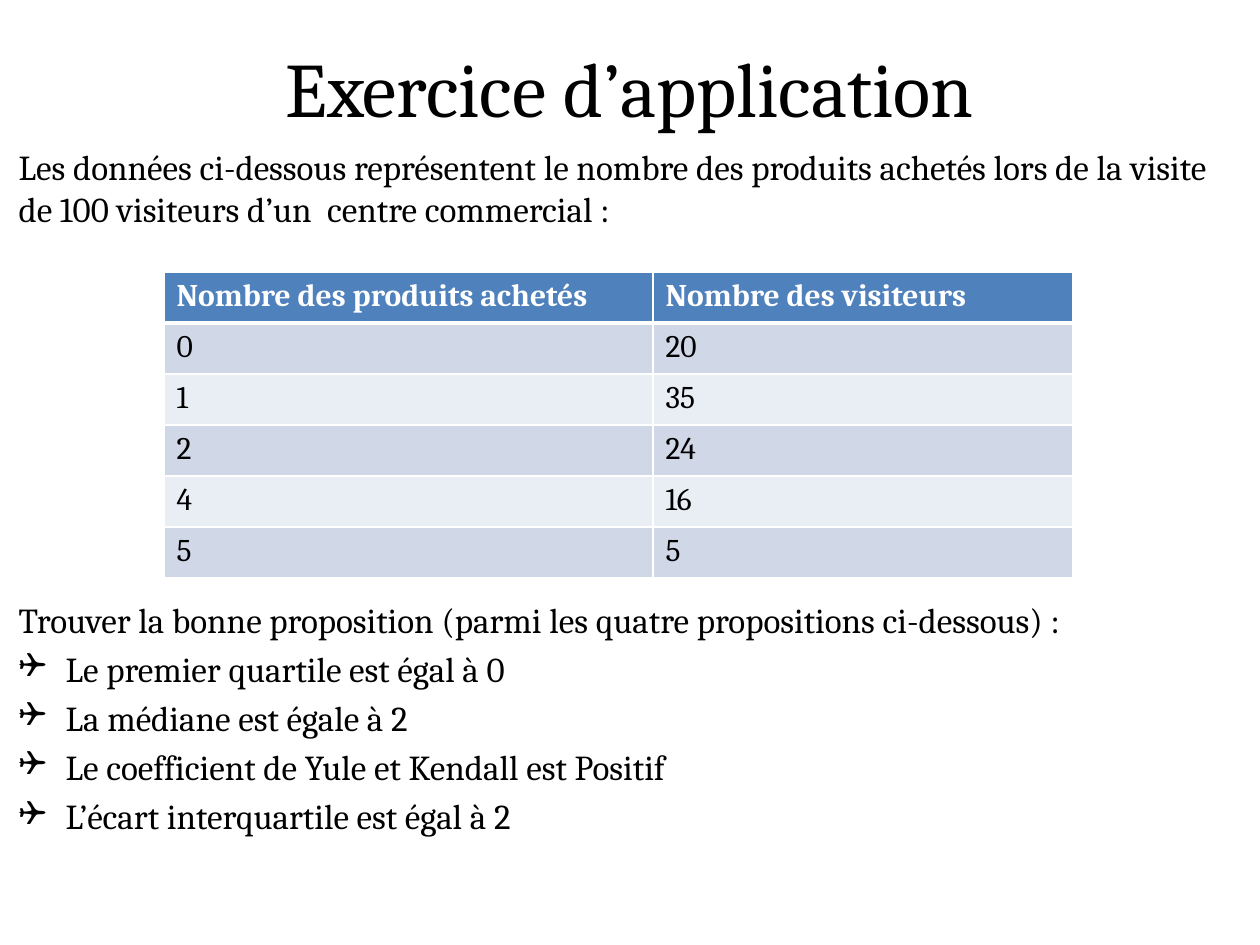
from dataclasses import dataclass

import lxml.etree
import pptx
import pptx.dml.color
import pptx.enum.text
import pptx.oxml.ns
import pptx.util

EMU_PER_PX = 914400 / 126


@dataclass(frozen=True)
class Theme:
    font: str = "Cambria"
    ink: str = "000000"
    white: str = "FFFFFF"
    header: str = "4F81BD"
    bands: tuple[str, str] = ("D0D8E8", "E9EDF4")
    title_size: int = 44
    body_size: int = 20
    table_size: int = 18


@dataclass(frozen=True)
class Box:
    left: int
    top: int
    width: int
    height: int


@dataclass(frozen=True)
class Line:
    text: str
    before: int = 4
    bullet: str = ""


THEME = Theme()
TITLE_BOX = Box(63, 8, 1134, 158)
BODY_BOX = Box(6, 139, 1251, 798)
TABLE_BOX = Box(164, 272, 909, 306)
COLUMN_WIDTHS = (489, 420)
BULLET_INDENT = 47
TABLE_GAP = 211

LINES = (
    Line("Les données ci-dessous représentent le nombre des produits achetés "
         "lors de la visite de 100 visiteurs d’un  centre commercial :", before=0),
    Line("Trouver la bonne proposition (parmi les quatre propositions ci-dessous) :",
         before=TABLE_GAP),
    Line("Le premier quartile est égal à 0", bullet="❑"),
    Line("La médiane est égale à 2", bullet="❑"),
    Line("Le coefficient de Yule et Kendall est Positif", bullet="❑"),
    Line("L’écart interquartile est égal à 2", bullet="❑"),
)
VISITS = (
    ("Nombre des produits achetés", "Nombre des visiteurs"),
    ("0", "20"),
    ("1", "35"),
    ("2", "24"),
    ("4", "16"),
    ("5", "5"),
)


def px(length: int) -> int:
    return round(length * EMU_PER_PX)


def rgb(value: str):
    return pptx.dml.color.RGBColor.from_string(value)


def add_child(parent, tag: str, **attributes: str):
    return lxml.etree.SubElement(parent, pptx.oxml.ns.qn(tag), attributes)


def write(paragraph, text: str, *, size: int, color: str = THEME.ink,
          bold: bool = False, align=pptx.enum.text.PP_ALIGN.LEFT,
          before: int = 0) -> None:
    paragraph.alignment = align
    paragraph.space_before = pptx.util.Pt(before)
    run = paragraph.add_run()
    run.text = text
    run.font.name = THEME.font
    run.font.size = pptx.util.Pt(size)
    run.font.bold = bold
    run.font.color.rgb = rgb(color)


def place(placeholder, box: Box):
    placeholder.left, placeholder.top = px(box.left), px(box.top)
    placeholder.width, placeholder.height = px(box.width), px(box.height)
    frame = placeholder.text_frame
    frame.word_wrap = True
    frame.auto_size = pptx.enum.text.MSO_AUTO_SIZE.NONE
    return frame


def set_bullet(paragraph, bullet: str) -> None:
    properties = paragraph._p.get_or_add_pPr()
    indent = px(BULLET_INDENT) if bullet else 0
    properties.set("marL", str(indent))
    properties.set("indent", str(-indent))
    if bullet:
        add_child(properties, "a:buFont", typeface="Wingdings")
        add_child(properties, "a:buChar", char=bullet)
    else:
        add_child(properties, "a:buNone")


def set_borders(cell, **widths: int) -> None:
    properties = cell._tc.get_or_add_tcPr()
    for side in "LRTB":
        width = pptx.util.Pt(widths.get(side, 1))
        border = add_child(properties, f"a:ln{side}", w=str(width))
        fill = add_child(border, "a:solidFill")
        add_child(fill, "a:srgbClr", val=THEME.white)


def draw_body(placeholder, lines: tuple[Line, ...]) -> None:
    frame = place(placeholder, BODY_BOX)
    for index, line in enumerate(lines):
        paragraph = frame.add_paragraph() if index else frame.paragraphs[0]
        set_bullet(paragraph, line.bullet)
        write(paragraph, line.text, size=THEME.body_size, before=line.before)


def draw_table(slide, rows: tuple[tuple[str, str], ...], box: Box) -> None:
    table = slide.shapes.add_table(
        len(rows), len(COLUMN_WIDTHS),
        px(box.left), px(box.top), px(box.width), px(box.height)).table
    for column, width in zip(table.columns, COLUMN_WIDTHS):
        column.width = px(width)
    for row_index, values in enumerate(rows):
        table.rows[row_index].height = px(box.height // len(rows))
        is_header = row_index == 0
        fill = THEME.header if is_header else THEME.bands[(row_index - 1) % 2]
        for column_index, value in enumerate(values):
            cell = table.cell(row_index, column_index)
            set_borders(cell, B=3 if is_header else 1, T=3 if row_index == 1 else 1)
            cell.fill.solid()
            cell.fill.fore_color.rgb = rgb(fill)
            write(cell.text_frame.paragraphs[0], value, size=THEME.table_size,
                  color=THEME.white if is_header else THEME.ink, bold=is_header)


def main() -> None:
    presentation = pptx.Presentation()
    presentation.slide_width = px(1260)
    presentation.slide_height = px(945)
    slide = presentation.slides.add_slide(presentation.slide_layouts[1])
    heading = place(slide.shapes.title, TITLE_BOX)
    heading.vertical_anchor = pptx.enum.text.MSO_ANCHOR.MIDDLE
    write(heading.paragraphs[0], "Exercice d’application", size=THEME.title_size,
          align=pptx.enum.text.PP_ALIGN.CENTER)
    draw_body(slide.placeholders[1], LINES)
    draw_table(slide, VISITS, TABLE_BOX)
    presentation.save("out.pptx")


if __name__ == "__main__":
    main()
